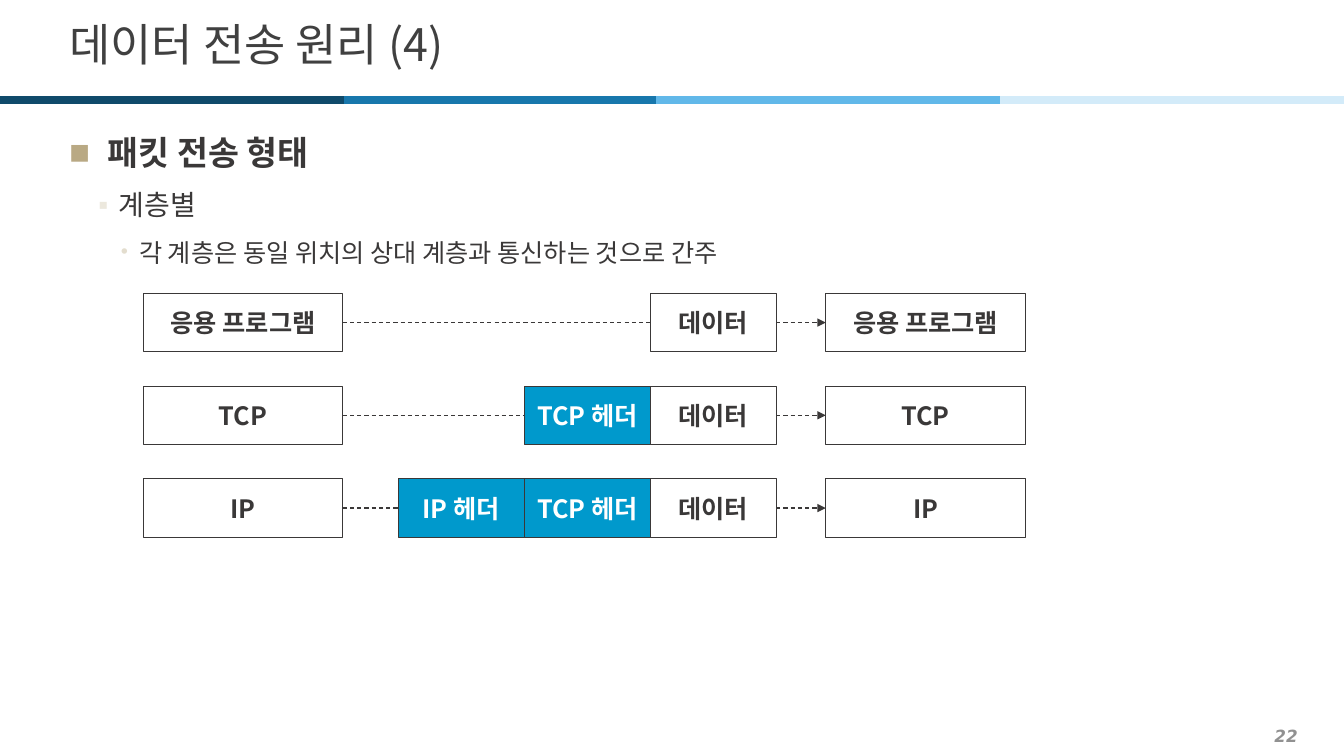
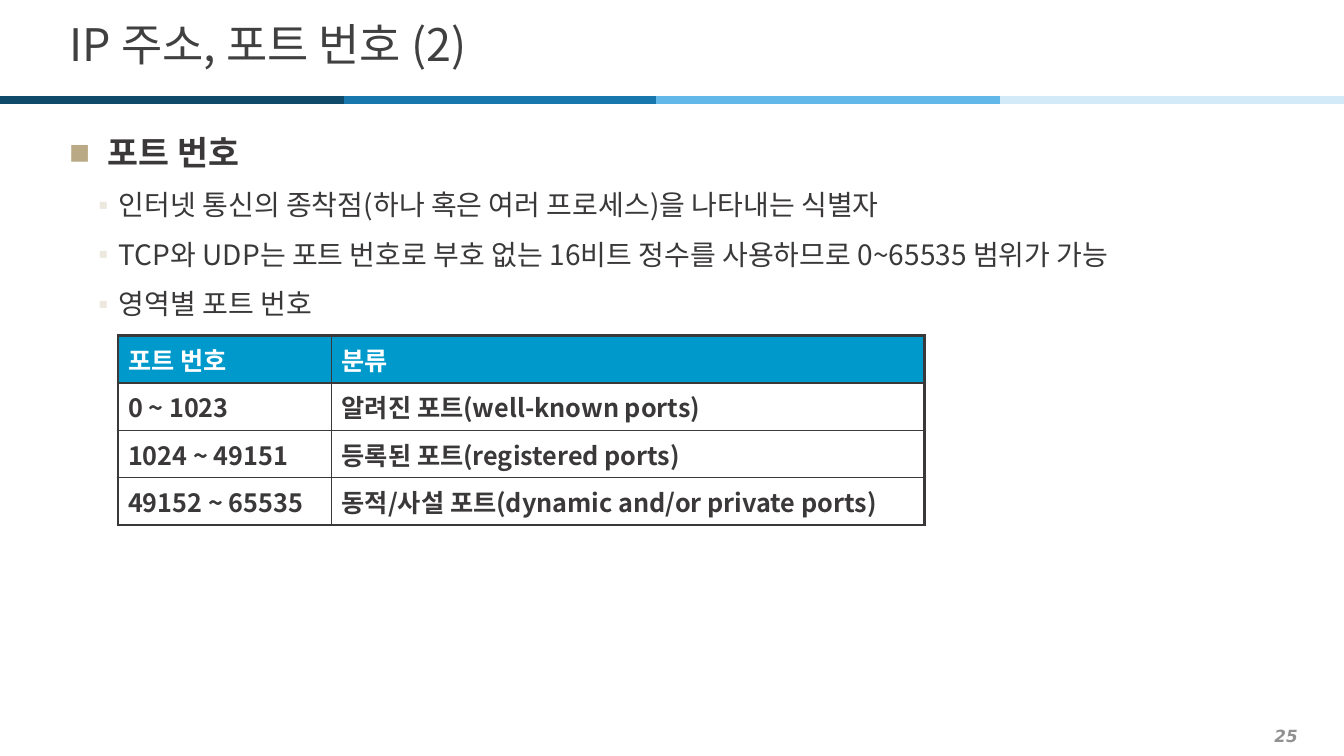
"""Build two networking lecture slides: packet layers and port numbers."""
from lxml.etree import SubElement
from pptx import Presentation
from pptx.dml.color import RGBColor
from pptx.enum.dml import MSO_LINE
from pptx.enum.shapes import MSO_CONNECTOR as Connector, MSO_SHAPE as Shape
from pptx.enum.text import MSO_ANCHOR as Anchor, PP_ALIGN as Align
from pptx.oxml.ns import qn
from pptx.util import Inches, Pt

FONT, NUMBER_FONT = "Noto Sans CJK KR", "DejaVu Sans"
INK, TITLE, GREY, WHITE, ACCENT = "3A3838", "404040", "919191", "FFFFFF", "0099CC"
BAND_WIDTH = 3.41
BANDS = [(3.1, "1877AC"), (6.51, "61B8E9"), (9.92, "D3EBF9"), (0, "0F4A6B")]
LEVELS = [
    dict(size=24, bold=True, left=0.38, hang=0.38, spacing=1.2, before=0, after=2,
         mark="■", mark_color="B9A984", mark_size=65),
    dict(size=20, bold=False, left=0.49, hang=0.2, spacing=1.3, before=2, after=2,
         mark="▪", mark_color="ECE8DD", mark_size=50),
    dict(size=18, bold=False, left=0.69, hang=0.2, spacing=1.2, before=5, after=6,
         mark="•", mark_color="E3DDCE", mark_size=75),
]


def rgb(value):
    return RGBColor.from_string(value)


def add_xml(parent, tag, **attributes):
    return SubElement(parent, qn(tag), attributes)


def write(para, text, size=18, color=INK, bold=False, italic=False, font=FONT, align=None):
    para.alignment = align
    span = para.add_run()
    span.text = text
    span.font.size = Pt(size)
    span.font.bold = bold
    span.font.italic = italic
    span.font.name = font
    span.font.color.rgb = rgb(color)
    add_xml(span.font._element, "a:ea", typeface=font)


class SlideMaker:
    def __init__(self):
        self.deck = Presentation()
        self.deck.slide_width = Inches(13.33)
        self.deck.slide_height = Inches(7.5)

    def start(self, title, number):
        self.page = self.deck.slides.add_slide(self.deck.slide_layouts[6])
        for left, color in BANDS:
            self.line(left, left + BAND_WIDTH, 0.99, color, 6)
        frame = self.text_box(0.2, 7.14, 12.77, 0.31, Anchor.MIDDLE)
        write(frame.paragraphs[0], str(number), size=12, color=GREY, bold=True,
              italic=True, font=NUMBER_FONT, align=Align.RIGHT)
        frame = self.text_box(0.59, 0.13, 12.21, 0.68, Anchor.MIDDLE)
        frame.paragraphs[0].line_spacing = 0.9
        write(frame.paragraphs[0], title, size=32, color=TITLE)

    def text_box(self, left, top, width, height, anchor=Anchor.TOP):
        box = self.page.shapes.add_textbox(
            Inches(left), Inches(top), Inches(width), Inches(height))
        box.text_frame.word_wrap = True
        box.text_frame.vertical_anchor = anchor
        return box.text_frame

    def outline(self, items):
        frame = self.text_box(0.59, 1.18, 12.21, 6.03)
        for index, (level, text) in enumerate(items):
            para = frame.add_paragraph() if index else frame.paragraphs[0]
            style = LEVELS[level]
            para.level = level
            para.line_spacing = style["spacing"]
            para.space_before = Pt(style["before"])
            para.space_after = Pt(style["after"])
            write(para, text, size=style["size"], bold=style["bold"])
            self.bullet(para, style)

    def bullet(self, para, style):
        props = para._p.get_or_add_pPr()
        props.set("marL", str(Inches(style["left"])))
        props.set("indent", str(-Inches(style["hang"])))
        add_xml(add_xml(props, "a:buClr"), "a:srgbClr", val=style["mark_color"])
        add_xml(props, "a:buSzPct", val=str(style["mark_size"] * 1000))
        add_xml(props, "a:buFont", typeface=NUMBER_FONT)
        add_xml(props, "a:buChar", char=style["mark"])

    def line(self, start, end, y, color, width, arrow=False):
        line = self.page.shapes.add_connector(
            Connector.STRAIGHT, Inches(start), Inches(y), Inches(end), Inches(y))
        line.line.color.rgb = rgb(color)
        line.line.width = Pt(width)
        if arrow:
            line.line.dash_style = MSO_LINE.DASH
            add_xml(line.line._get_or_add_ln(), "a:tailEnd", type="triangle")
        add_xml(line._element.spPr, "a:effectLst")

    def box(self, text, left, top, width, height, fill=None, color=INK):
        box = self.page.shapes.add_shape(
            Shape.RECTANGLE, Inches(left), Inches(top), Inches(width), Inches(height))
        box.shadow.inherit = False
        if fill:
            box.fill.solid()
            box.fill.fore_color.rgb = rgb(fill)
        else:
            box.fill.background()
        box.line.color.rgb = rgb(INK)
        box.line.width = Pt(0.75)
        box.text_frame.word_wrap = False
        box.text_frame.vertical_anchor = Anchor.MIDDLE
        write(box.text_frame.paragraphs[0], text, color=color, bold=True, align=Align.CENTER)

    def table(self, rows, left, top, widths, row_height):
        table = self.page.shapes.add_table(
            len(rows), len(widths), Inches(left), Inches(top),
            Inches(sum(widths)), Inches(row_height * len(rows))).table
        table.first_row = table.horz_banding = False
        for column, width in zip(table.columns, widths):
            column.width = Inches(width)
        for r, texts in enumerate(rows):
            table.rows[r].height = Inches(row_height)
            for c, text in enumerate(texts):
                cell = table.cell(r, c)
                cell.vertical_anchor = Anchor.MIDDLE
                write(cell.text_frame.paragraphs[0], text,
                      color=INK if r else WHITE, bold=True)
                outer = dict(L=c == 0, R=c == len(widths) - 1,
                             T=r == 0, B=r == len(rows) - 1)
                self.borders(cell, outer)
                if r:
                    cell.fill.background()
                else:
                    cell.fill.solid()
                    cell.fill.fore_color.rgb = rgb(ACCENT)

    def borders(self, cell, outer):
        props = cell._tc.get_or_add_tcPr()
        for side, is_outer in outer.items():
            border = add_xml(props, f"a:ln{side}", w=str(Pt(2.25 if is_outer else 1)))
            add_xml(add_xml(border, "a:solidFill"), "a:srgbClr", val=INK)


def layer_slide(maker):
    maker.start("데이터 전송 원리 (4)", 22)
    maker.outline([
        (0, "패킷 전송 형태"),
        (1, "계층별"),
        (2, "각 계층은 동일 위치의 상대 계층과 통신하는 것으로 간주"),
    ])
    sender, receiver, layer_width = 1.42, 8.19, 1.98
    packet_end, part_width, height = 7.7, 1.25, 0.58
    layers = [
        ("응용 프로그램", ["데이터"]),
        ("TCP", ["TCP 헤더", "데이터"]),
        ("IP", ["IP 헤더", "TCP 헤더", "데이터"]),
    ]
    for index, (layer, parts) in enumerate(layers):
        top = 2.91 + 0.92 * index
        maker.line(sender + layer_width, receiver, top + height / 2, INK, 0.75, arrow=True)
        for left in (sender, receiver):
            maker.box(layer, left, top, layer_width, height)
        packet_start = packet_end - part_width * len(parts)
        for position, part in enumerate(parts):
            is_data = part == "데이터"
            maker.box(part, packet_start + part_width * position, top, part_width, height,
                      fill=WHITE if is_data else ACCENT, color=INK if is_data else WHITE)


def port_slide(maker):
    maker.start("IP 주소, 포트 번호 (2)", 25)
    maker.outline([
        (0, "포트 번호"),
        (1, "인터넷 통신의 종착점(하나 혹은 여러 프로세스)을 나타내는 식별자"),
        (1, "TCP와 UDP는 포트 번호로 부호 없는 16비트 정수를 사용하므로 0~65535 범위가 가능"),
        (1, "영역별 포트 번호"),
    ])
    maker.table([
        ("포트 번호", "분류"),
        ("0 ~ 1023", "알려진 포트(well-known ports)"),
        ("1024 ~ 49151", "등록된 포트(registered ports)"),
        ("49152 ~ 65535", "동적/사설 포트(dynamic and/or private ports)"),
    ], 1.17, 3.33, [2.12, 5.88], 0.47)


def main():
    maker = SlideMaker()
    layer_slide(maker)
    port_slide(maker)
    maker.deck.save("out.pptx")


if __name__ == "__main__":
    main()
